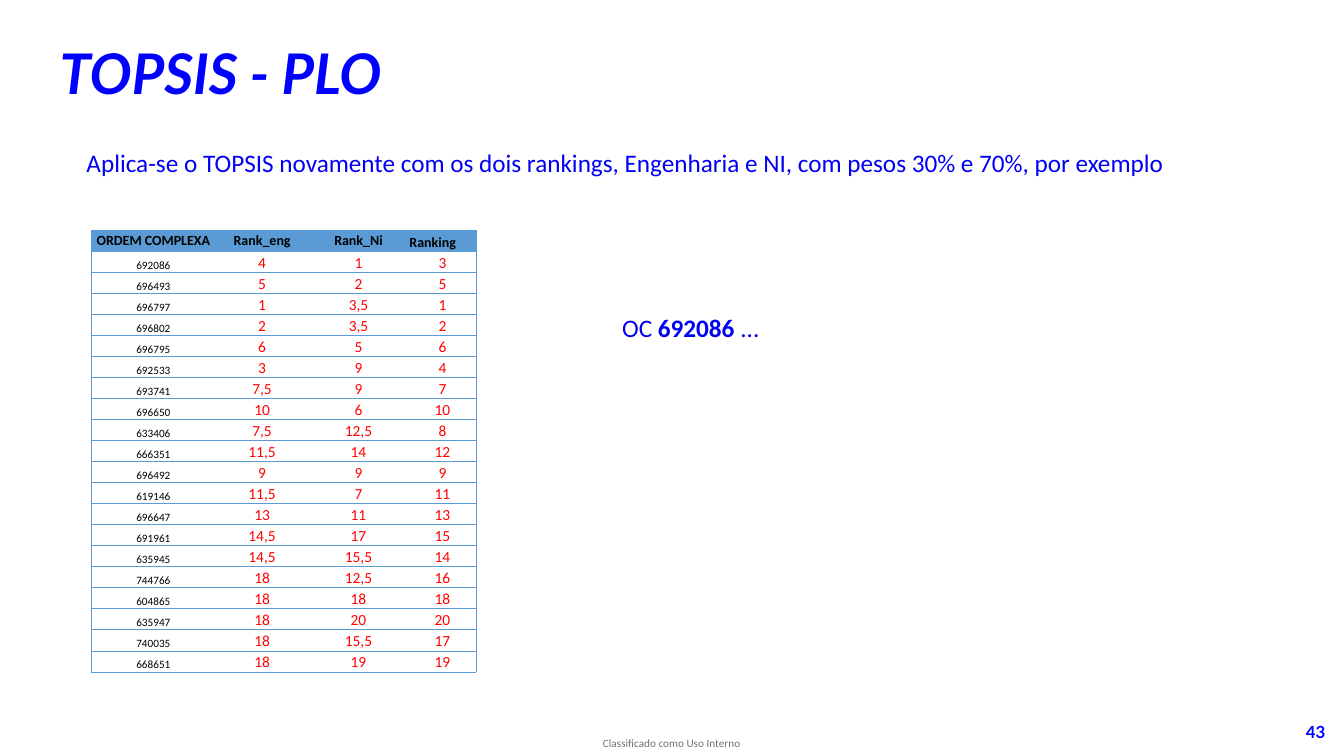
from dataclasses import dataclass

from lxml.etree import SubElement
from pptx import Presentation
from pptx.dml.color import RGBColor
from pptx.enum.text import MSO_ANCHOR, MSO_AUTO_SIZE, PP_ALIGN
from pptx.oxml.ns import qn
from pptx.util import Cm, Pt


@dataclass(frozen=True)
class Theme:
    title_font: str = "Lato"
    body_font: str = "Calibri"
    title_blue: str = "0000FF"
    body_blue: str = "0000F4"
    table_blue: str = "5B9BD5"
    red: str = "FF0000"
    black: str = "000000"
    grey: str = "737373"
    title_size: float = 40
    body_size: float = 18
    number_size: float = 12
    rank_size: float = 11
    header_size: float = 10
    small_size: float = 8


@dataclass(frozen=True)
class Box:
    left: float
    top: float
    width: float
    height: float

    def lengths(self):
        return Cm(self.left), Cm(self.top), Cm(self.width), Cm(self.height)


THEME = Theme()
HEADERS = ["ORDEM COMPLEXA", "Rank_eng", "Rank_Ni", "Ranking"]
COLUMN_WIDTHS = [3.15, 2.33, 2.53, 1.7]
ROW_HEIGHT = 0.53
RANKINGS = [
    ["692086", "4", "1", "3"],
    ["696493", "5", "2", "5"],
    ["696797", "1", "3,5", "1"],
    ["696802", "2", "3,5", "2"],
    ["696795", "6", "5", "6"],
    ["692533", "3", "9", "4"],
    ["693741", "7,5", "9", "7"],
    ["696650", "10", "6", "10"],
    ["633406", "7,5", "12,5", "8"],
    ["666351", "11,5", "14", "12"],
    ["696492", "9", "9", "9"],
    ["619146", "11,5", "7", "11"],
    ["696647", "13", "11", "13"],
    ["691961", "14,5", "17", "15"],
    ["635945", "14,5", "15,5", "14"],
    ["744766", "18", "12,5", "16"],
    ["604865", "18", "18", "18"],
    ["635947", "18", "20", "20"],
    ["740035", "18", "15,5", "17"],
    ["668651", "18", "19", "19"],
]


def format_run(run, font, size, color, bold=False, italic=False):
    run.font.name = font
    run.font.size = Pt(size)
    run.font.color.rgb = RGBColor.from_string(color)
    run.font.bold = bold
    run.font.italic = italic


def add_text(slide, box, text, font, size, color, bold=False,
             alignment=PP_ALIGN.LEFT, wrap=True):
    shape = slide.shapes.add_textbox(*box.lengths())
    text_frame = shape.text_frame
    text_frame.word_wrap = wrap
    text_frame.text = text
    paragraph = text_frame.paragraphs[0]
    paragraph.alignment = alignment
    format_run(paragraph.runs[0], font, size, color, bold)
    return text_frame


def add_title(slide, box):
    title = slide.shapes.title
    title.left, title.top, title.width, title.height = box.lengths()
    text_frame = title.text_frame
    text_frame.text = "TOPSIS - PLO"
    text_frame.auto_size = MSO_AUTO_SIZE.NONE
    text_frame.vertical_anchor = MSO_ANCHOR.TOP
    paragraph = text_frame.paragraphs[0]
    paragraph.alignment = PP_ALIGN.LEFT
    paragraph.line_spacing = 0.9
    format_run(paragraph.runs[0], THEME.title_font, THEME.title_size,
               THEME.title_blue, bold=True, italic=True)


def add_order_note(slide, box):
    text_frame = add_text(slide, box, "OC ", THEME.body_font,
                          THEME.body_size, THEME.body_blue)
    for text, bold in (("692086", True), (" ...", False)):
        run = text_frame.paragraphs[0].add_run()
        run.text = text
        format_run(run, THEME.body_font, THEME.body_size, THEME.body_blue, bold)


def add_footer(slide, box):
    text_frame = add_text(slide, box, "Classificado como Uso Interno",
                          THEME.body_font, THEME.small_size, THEME.grey,
                          alignment=PP_ALIGN.CENTER)
    text_frame.margin_left = text_frame.margin_right = 0
    text_frame.margin_top = text_frame.margin_bottom = 0
    text_frame.vertical_anchor = MSO_ANCHOR.MIDDLE


def set_borders(cell, sides):
    """Draw thin lines on the given sides, listed in schema order."""
    properties = cell._tc.get_or_add_tcPr()
    for position, side in enumerate(sides):
        line = SubElement(properties, qn(f"a:ln{side}"), w=str(Pt(0.5)))
        fill = SubElement(line, qn("a:solidFill"))
        SubElement(fill, qn("a:srgbClr"), val=THEME.table_blue)
        properties.insert(position, line)


def fill_cell(cell, text, is_header, is_first, is_last):
    cell.margin_left = cell.margin_right = cell.margin_top = Cm(0.02)
    cell.margin_bottom = 0
    centred = is_header and not is_last
    cell.vertical_anchor = MSO_ANCHOR.MIDDLE if centred else MSO_ANCHOR.BOTTOM
    if is_header:
        cell.fill.solid()
        cell.fill.fore_color.rgb = RGBColor.from_string(THEME.table_blue)
        size, color = THEME.header_size, THEME.black
    else:
        cell.fill.background()
        size, color = ((THEME.small_size, THEME.black) if is_first
                       else (THEME.rank_size, THEME.red))
    cell.text_frame.text = text
    paragraph = cell.text_frame.paragraphs[0]
    left_aligned = is_header and is_last
    paragraph.alignment = PP_ALIGN.LEFT if left_aligned else PP_ALIGN.CENTER
    format_run(paragraph.runs[0], THEME.body_font, size, color, is_header)
    set_borders(cell, "L" * is_first + "R" * is_last + "TB")


def add_ranking_table(slide, box):
    rows = [HEADERS] + RANKINGS
    frame = slide.shapes.add_table(len(rows), len(HEADERS), *box.lengths())
    table = frame.table
    table.first_row = table.horz_banding = False
    # Plain style without grid
    style = table._tbl.tblPr.find(qn("a:tableStyleId"))
    style.text = "{2D5ABB26-0587-4C30-8999-92F81FD0307C}"
    for column, width in zip(table.columns, COLUMN_WIDTHS):
        column.width = Cm(width)
    for row_index, values in enumerate(rows):
        table.rows[row_index].height = Cm(ROW_HEIGHT)
        for column_index, text in enumerate(values):
            fill_cell(table.cell(row_index, column_index), text,
                      row_index == 0, column_index == 0,
                      column_index == len(HEADERS) - 1)


def build_ranking_slide(presentation):
    slide = presentation.slides.add_slide(presentation.slide_layouts[5])
    # Footer and slide number
    add_footer(slide, Box(14.83, 18.42, 4.2, 0.63))
    add_text(slide, Box(32.18, 18.06, 1.47, 0.74), "43", THEME.title_font,
             THEME.number_size, THEME.title_blue, True, PP_ALIGN.RIGHT)
    # Title and explanation
    add_title(slide, Box(1.25, 1.04, 19.25, 1.83))
    add_text(slide, Box(1.93, 3.6, 28, 1.03),
             "Aplica-se o TOPSIS novamente com os dois rankings, "
             "Engenharia e NI, com pesos 30% e 70%, por exemplo",
             THEME.body_font, THEME.body_size, THEME.body_blue, wrap=False)
    add_order_note(slide, Box(15.43, 7.75, 16.6, 1.03))
    # Combined ranking
    add_ranking_table(slide, Box(2.29, 5.8, sum(COLUMN_WIDTHS),
                                 ROW_HEIGHT * (len(RANKINGS) + 1)))


def main():
    presentation = Presentation()
    presentation.slide_width = Cm(33.87)
    presentation.slide_height = Cm(19.05)
    build_ranking_slide(presentation)
    presentation.save("out.pptx")


if __name__ == "__main__":
    main()
